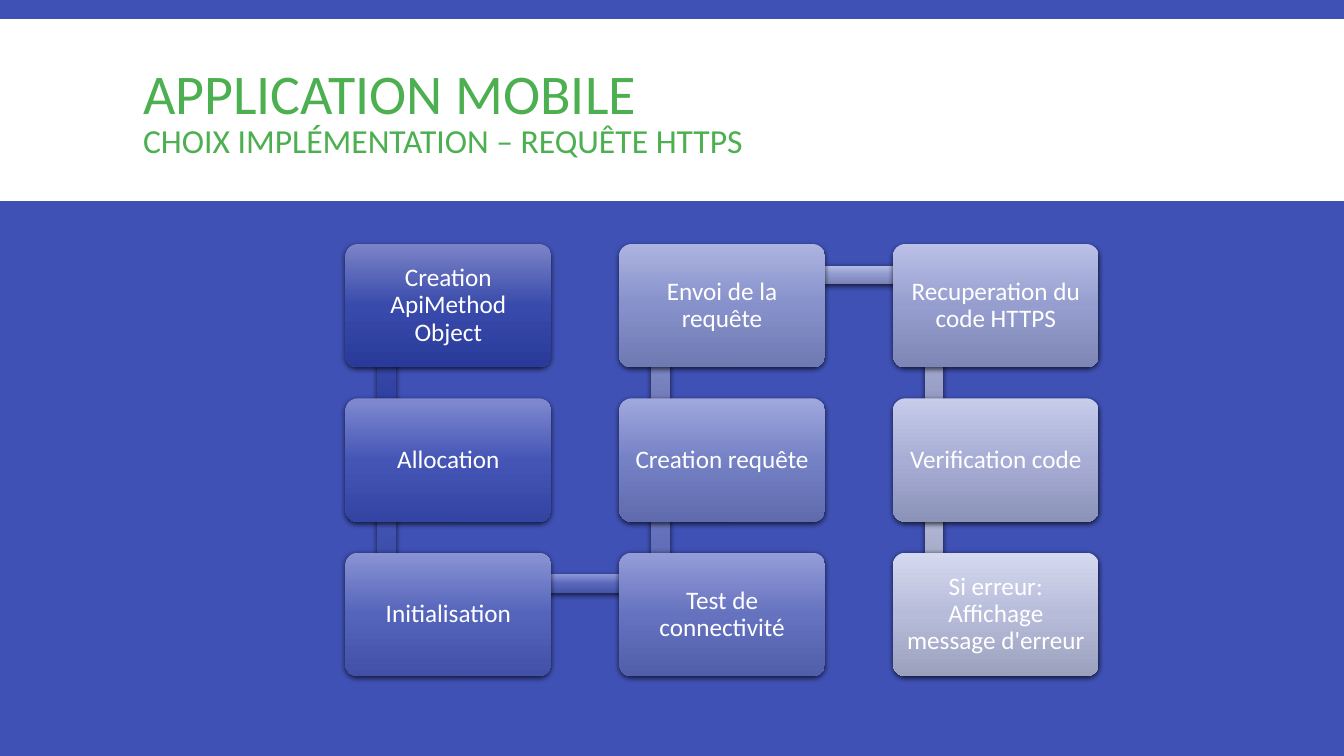
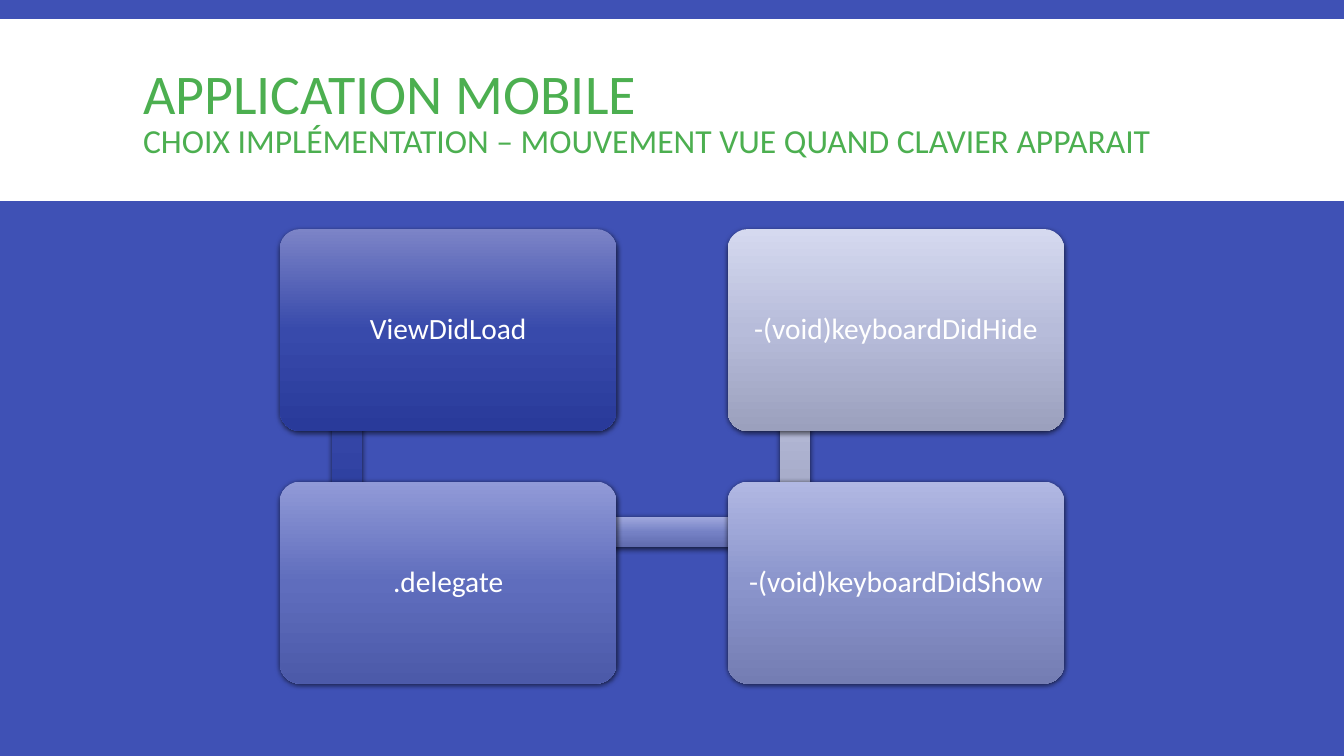
"""Build two slides that show mobile application steps as snaking process diagrams."""

from dataclasses import dataclass

from pptx import Presentation
from pptx.dml.color import RGBColor
from pptx.enum.shapes import MSO_SHAPE
from pptx.enum.text import MSO_ANCHOR, MSO_AUTO_SIZE, PP_ALIGN
from pptx.oxml import parse_xml
from pptx.oxml.ns import nsdecls
from pptx.util import Pt


@dataclass(frozen=True)
class Theme:
    font: str = "Calibri"
    background: str = "3F51B5"
    band: str = "FFFFFF"
    title: str = "4CAF50"
    box_text: str = "FFFFFF"
    shadow: str = "000000"
    title_size: int = 40
    subtitle_size: int = 24
    ramp: tuple = (
        ("7C84C7", "384AAB", "293A9A"),
        ("818AD0", "4455B5", "3344A3"),
        ("8A93D4", "5464BA", "4251A6"),
        ("959DD8", "6572BF", "515EAA"),
        ("A0A8DD", "7581C5", "606BAE"),
        ("ADB4E1", "8690CA", "6F79B2"),
        ("BAC0E6", "969ECF", "7E86B5"),
        ("C7CCEB", "A7ADD4", "8C93B9"),
        ("D5D9EF", "B7BCDA", "9BA0BD"),
    )


THEME = Theme()


def ramp_colors(fraction):
    """Return the top, middle and bottom colours at a fraction of the ramp."""
    position = fraction * (len(THEME.ramp) - 1)
    index = min(int(position), len(THEME.ramp) - 2)
    weight = position - index
    colors = []
    for start, end in zip(THEME.ramp[index], THEME.ramp[index + 1]):
        channels = zip(RGBColor.from_string(start), RGBColor.from_string(end))
        colors.append(str(RGBColor(*(round(a + (b - a) * weight) for a, b in channels))))
    return colors


def add_glossy_shape(slide, kind, left, top, width, height, fraction):
    """Add a borderless shape with a vertical gradient and a soft shadow."""
    shape = slide.shapes.add_shape(kind, Pt(left), Pt(top), Pt(width), Pt(height))
    stops = "".join(
        f'<a:gs pos="{position}"><a:srgbClr val="{color}"/></a:gs>'
        for position, color in zip((0, 50000, 100000), ramp_colors(fraction))
    )
    properties = shape.element.spPr
    properties.insert(2, parse_xml(
        f'<a:gradFill {nsdecls("a")} rotWithShape="1"><a:gsLst>{stops}</a:gsLst>'
        '<a:lin ang="5400000" scaled="0"/></a:gradFill>'
    ))
    shape.line.fill.background()
    properties.append(parse_xml(
        f'<a:effectLst {nsdecls("a")}><a:outerShdw blurRad="{Pt(4)}" dist="{Pt(1.2)}" '
        f'dir="5400000" rotWithShape="0"><a:srgbClr val="{THEME.shadow}">'
        '<a:alpha val="68000"/></a:srgbClr></a:outerShdw></a:effectLst>'
    ))
    return shape


presentation = Presentation()
presentation.slide_width = Pt(960)
presentation.slide_height = Pt(540)
layout = presentation.slide_layouts.get_by_name("Title Only")
layout.background.fill.solid()
layout.background.fill.fore_color.rgb = RGBColor.from_string(THEME.background)

layout_title = next(shape for shape in layout.placeholders if shape.placeholder_format.idx == 0)
layout_title.left, layout_title.top = Pt(95), Pt(22.3)
layout_title.width, layout_title.height = Pt(770.4), Pt(118.8)
layout_title.text_frame.vertical_anchor = MSO_ANCHOR.MIDDLE
layout_title.text_frame.auto_size = MSO_AUTO_SIZE.NONE
title_body = layout_title.text_frame._txBody
for list_style in title_body.findall("{*}lstStyle"):
    title_body.remove(list_style)
title_body.insert(1, parse_xml(
    f'<a:lstStyle {nsdecls("a")}><a:lvl1pPr algn="l"><a:lnSpc><a:spcPct val="85000"/></a:lnSpc>'
    f'<a:defRPr sz="{THEME.title_size * 100}" b="0"><a:solidFill><a:srgbClr val="{THEME.title}"/>'
    f'</a:solidFill><a:latin typeface="{THEME.font}"/></a:defRPr></a:lvl1pPr></a:lstStyle>'
))

diagrams = [
    {
        "subtitle": "CHOIX IMPLÉMENTATION – REQUÊTE HTTPS",
        "steps": [
            "Creation ApiMethod Object", "Allocation", "Initialisation",
            "Test de connectivité", "Creation requête", "Envoi de la requête",
            "Recuperation du code HTTPS", "Verification code",
            "Si erreur: Affichage message d'erreur",
        ],
        "rows": 3, "left": 246.8, "top": 174.3, "box_width": 147, "text_size": 18,
    },
    {
        "subtitle": "CHOIX IMPLÉMENTATION – MOUVEMENT VUE QUAND CLAVIER APPARAIT",
        "steps": [
            "ViewDidLoad", ".delegate", "-(void)keyboardDidShow", "-(void)keyboardDidHide",
        ],
        "rows": 2, "left": 199.9, "top": 163.6, "box_width": 240.5, "text_size": 21,
    },
]

for diagram in diagrams:
    slide = presentation.slides.add_slide(layout)
    if diagram is diagrams[0]:
        band = slide.shapes.add_shape(MSO_SHAPE.RECTANGLE, 0, Pt(13.7), Pt(960), Pt(129.8))
        band.fill.solid()
        band.fill.fore_color.rgb = RGBColor.from_string(THEME.band)
        band.line.fill.background()
        band.shadow.inherit = False
        layout.shapes.element.insert(2, band.element)

    title = slide.shapes.title
    title.text_frame.text = f"APPLICATION MOBILE\v{diagram['subtitle']}"
    title.text_frame.paragraphs[0].runs[1].font.size = Pt(THEME.subtitle_size)

    steps, rows, text_size = diagram["steps"], diagram["rows"], diagram["text_size"]
    box_width = diagram["box_width"]
    box_height = box_width * 0.6
    bar_size = box_height * 0.15
    corners = []
    for index in range(len(steps)):
        column, row = divmod(index, rows)
        if column % 2:
            row = rows - 1 - row
        corners.append((
            diagram["left"] + column * box_width * 1.33,
            diagram["top"] + row * box_height * 1.25,
        ))

    for index, (step, (left, top)) in enumerate(zip(steps, corners)):
        if index < len(steps) - 1:
            next_left, next_top = corners[index + 1]
            bar_left = min(left, next_left) + box_width * 0.2
            bar_top = min(top, next_top) + box_height * 0.25
            fraction = index / (len(steps) - 2)
            if left == next_left:
                add_glossy_shape(slide, MSO_SHAPE.RECTANGLE, bar_left - bar_size / 2, bar_top,
                                 bar_size, abs(next_top - top), fraction)
            else:
                add_glossy_shape(slide, MSO_SHAPE.RECTANGLE, bar_left, bar_top - bar_size / 2,
                                 next_left - left, bar_size, fraction)

        box = add_glossy_shape(slide, MSO_SHAPE.ROUNDED_RECTANGLE, left, top,
                               box_width, box_height, index / (len(steps) - 1))
        box.adjustments[0] = 0.1
        frame = box.text_frame
        frame.text = step
        frame.word_wrap = True
        frame.vertical_anchor = MSO_ANCHOR.MIDDLE
        frame.margin_left = frame.margin_right = Pt(text_size * 0.3)
        frame.margin_top = frame.margin_bottom = Pt(text_size * 0.3)
        paragraph = frame.paragraphs[0]
        paragraph.alignment = PP_ALIGN.CENTER
        paragraph.line_spacing = 0.9
        font = paragraph.runs[0].font
        font.name = THEME.font
        font.size = Pt(text_size)
        font.color.rgb = RGBColor.from_string(THEME.box_text)

presentation.save("out.pptx")
